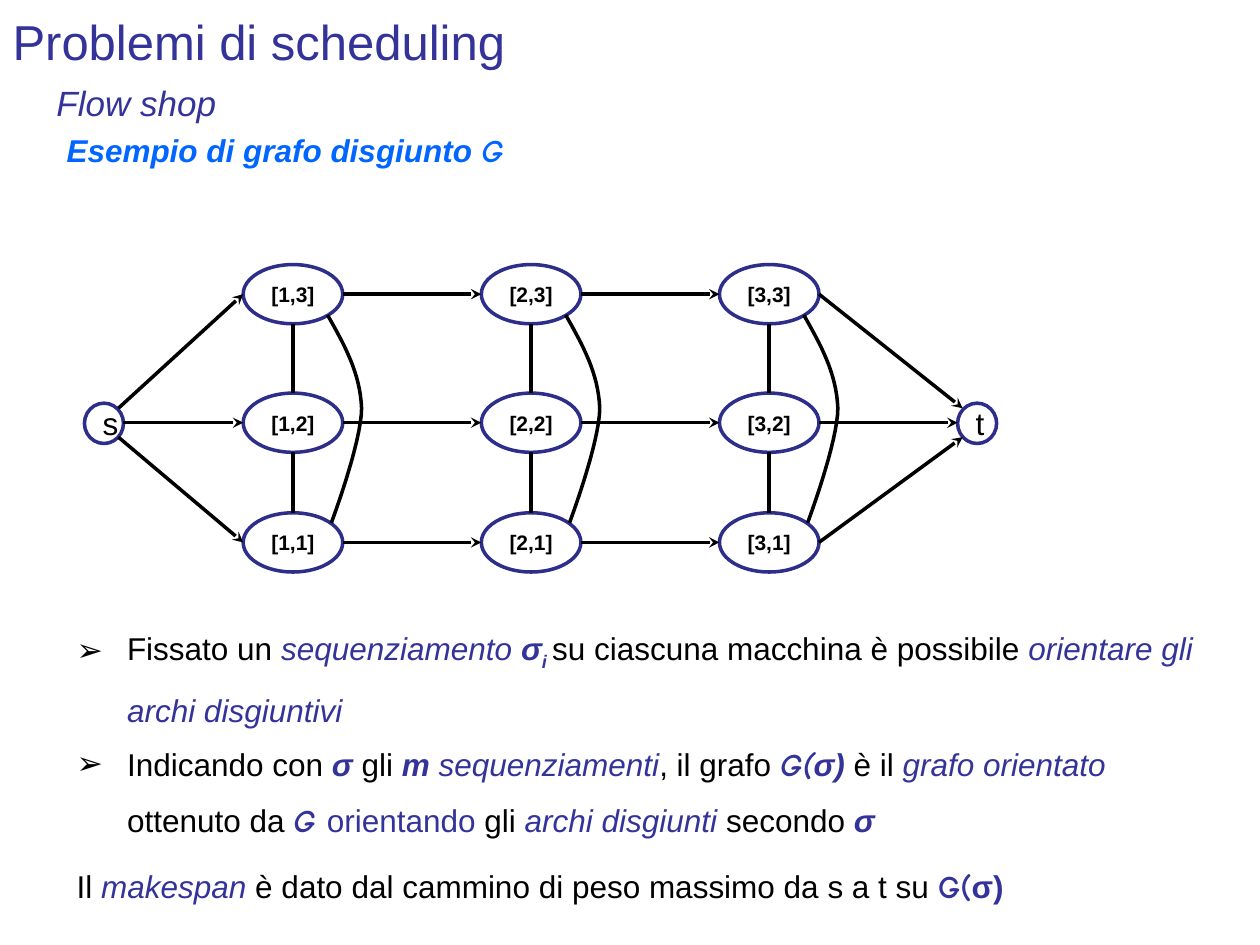
from dataclasses import dataclass
from typing import NamedTuple

from lxml import etree
from pptx import Presentation
from pptx.dml.color import RGBColor
from pptx.enum.shapes import MSO_CONNECTOR, MSO_SHAPE
from pptx.enum.text import MSO_ANCHOR, MSO_AUTO_SIZE, PP_ALIGN
from pptx.oxml.ns import qn
from pptx.util import Inches, Pt

ELLIPSE = MSO_SHAPE.OVAL
STRAIGHT = MSO_CONNECTOR.STRAIGHT
MIDDLE = MSO_ANCHOR.MIDDLE
LEFT, CENTER = PP_ALIGN.LEFT, PP_ALIGN.CENTER


@dataclass(frozen=True)
class Theme:
    font: str = "Arial"
    script_font: str = "Comic Neue"
    black: RGBColor = RGBColor(0, 0, 0)
    white: RGBColor = RGBColor(255, 255, 255)
    accent: RGBColor = RGBColor(0x33, 0x33, 0x99)
    heading: RGBColor = RGBColor(0x00, 0x66, 0xFF)
    outline: RGBColor = RGBColor(0x2D, 0x2D, 0x8A)
    title_size: int = 28
    subtitle_size: int = 20
    body_size: int = 18
    node_size: int = 12
    line_width: int = 2


THEME = Theme()


class Run(NamedTuple):
    text: str
    color: RGBColor = THEME.black
    size: int = THEME.body_size
    bold: bool = False
    italic: bool = False
    font: str = THEME.font
    subscript: bool = False


class Box(NamedTuple):
    left: float
    top: float
    width: float
    height: float


class Point(NamedTuple):
    x: float
    y: float


def term(text: str, bold: bool = False, **style) -> Run:
    return Run(text, THEME.accent, bold=bold, italic=True, **style)


def add_runs(paragraph, runs: list[Run]) -> None:
    for item in runs:
        run = paragraph.add_run()
        run.text = item.text
        font = run.font
        font.name, font.size = item.font, Pt(item.size)
        font.bold, font.italic = item.bold, item.italic
        font.color.rgb = item.color
        if item.subscript:
            run._r.get_or_add_rPr().set("baseline", "-25000")


def add_text(slide, box: Box, runs: list[Run], bullet: str = "", spacing: float = 1.0) -> None:
    shape = slide.shapes.add_textbox(*map(Inches, box))
    shape.text_frame.word_wrap = True
    paragraph = shape.text_frame.paragraphs[0]
    if bullet:
        properties = paragraph._p.get_or_add_pPr()
        properties.set("marL", str(Inches(0.4)))
        properties.set("indent", str(Inches(-0.4)))
        etree.SubElement(properties, qn("a:buFont")).set("typeface", THEME.font)
        etree.SubElement(properties, qn("a:buChar")).set("char", bullet)
    paragraph.line_spacing = spacing
    add_runs(paragraph, runs)


def add_node(shapes, box: Box, label: Run) -> None:
    shape = shapes.add_shape(ELLIPSE, *map(Inches, box))
    shape.shadow.inherit = False
    shape.fill.solid()
    shape.fill.fore_color.rgb = THEME.white
    shape.line.color.rgb = THEME.outline
    shape.line.width = Pt(THEME.line_width)
    frame = shape.text_frame
    frame.word_wrap, frame.vertical_anchor = True, MIDDLE
    frame.paragraphs[0].alignment = CENTER
    add_runs(frame.paragraphs[0], [label])


def add_edge(shapes, start: Point, end: Point, arrow: bool = True) -> None:
    connector = shapes.add_connector(STRAIGHT, *map(Inches, start + end))
    connector.line.color.rgb = THEME.black
    connector.line.width = Pt(THEME.line_width)
    if arrow:
        line = connector.line._get_or_add_ln()
        etree.SubElement(line, qn("a:tailEnd")).set("type", "stealth")
    etree.SubElement(connector._element.spPr, qn("a:effectLst"))


def bezier(points: list[Point], steps: int = 16) -> list[Point]:
    """Sample a cubic curve, leaving out its first point."""
    samples = []
    for step in range(1, steps + 1):
        t = step / steps
        weights = ((1 - t) ** 3, 3 * t * (1 - t) ** 2, 3 * t**2 * (1 - t), t**3)
        samples.append(Point(sum(w * p.x for w, p in zip(weights, points)),
                             sum(w * p.y for w, p in zip(weights, points))))
    return samples


def add_arc(shapes, left: float) -> None:
    """Curve from the top node of a column to its bottom node."""
    controls = [Point(left + x, y) for x, y in (
        (0.67, 2.5), (0.8, 2.73), (0.93, 2.96), (0.94, 3.24),
        (0.94, 3.51), (0.7, 4.15), (0.7, 4.15))]
    builder = shapes.build_freeform(Inches(controls[0].x), Inches(controls[0].y))
    samples = bezier(controls[:4]) + bezier(controls[3:])
    builder.add_line_segments([(Inches(p.x), Inches(p.y)) for p in samples], close=False)
    shape = builder.convert_to_shape()
    shape.shadow.inherit = False
    shape.fill.background()
    shape.line.color.rgb = THEME.black
    shape.line.width = Pt(THEME.line_width)


def add_graph(slide) -> None:
    shapes = slide.shapes.add_group_shape().shapes
    width, height = 0.79, 0.47
    columns = [1.93 + 1.89 * index for index in range(3)]
    rows = [4.07, 3.12, 2.1]
    centers = [top + height / 2 for top in rows]
    source = Box(0.67, 3.2, 0.31, 0.32)
    sink = source._replace(left=7.6)

    # Nodes
    add_node(shapes, source, Run("s"))
    for job, left in enumerate(columns, 1):
        for machine, top in enumerate(rows, 1):
            label = Run(f"[{job},{machine}]", size=THEME.node_size, bold=True)
            add_node(shapes, Box(left, top, width, height), label)
    add_node(shapes, sink, Run("t"))

    # Directed arcs: source, job to job, sink
    for y, port_y, inset in zip(centers, (3.47, centers[1], 3.24), (0.04, 0, 0.04)):
        add_edge(shapes, Point(source.left + source.width - inset, port_y), Point(columns[0], y))
        for left, following in zip(columns, columns[1:]):
            add_edge(shapes, Point(left + width, y), Point(following, y))
        add_edge(shapes, Point(columns[-1] + width, y), Point(sink.left + inset, port_y))

    # Disjunctive arcs within each column
    for left in columns:
        middle = left + width / 2
        for lower, upper in zip(rows, rows[1:]):
            add_edge(shapes, Point(middle, upper + height), Point(middle, lower), arrow=False)
        add_arc(shapes, left)


def main() -> None:
    presentation = Presentation()
    presentation.slide_width, presentation.slide_height = Inches(10), Inches(7.5)
    slide = presentation.slides.add_slide(presentation.slide_layouts[5])

    # Headings
    title = slide.shapes.title
    title.left, title.top, title.width, title.height = map(Inches, Box(0, -0.03, 9, 0.71))
    title.text_frame.auto_size = MSO_AUTO_SIZE.NONE
    title.text_frame.vertical_anchor = MIDDLE
    title.text_frame.paragraphs[0].alignment = LEFT
    add_runs(title.text_frame.paragraphs[0],
             [Run("Problemi di scheduling", THEME.accent, THEME.title_size)])
    add_text(slide, Box(0.35, 0.6, 9.14, 0.47), [term("Flow shop", size=THEME.subtitle_size)])
    example = Run("Esempio di grafo disgiunto ", THEME.heading, bold=True, italic=True)
    add_text(slide, Box(0.43, 0.99, 9.37, 0.4),
             [example, example._replace(text="G", font=THEME.script_font)])

    add_graph(slide)

    # Explanation
    script = THEME.script_font
    add_text(slide, Box(0.51, 4.77, 9.21, 0.95), [
        Run("Fissato un "), term("sequenziamento "), term("σ", True),
        term("i ", True, subscript=True), Run("su ciascuna macchina è possibile "),
        term("orientare gli archi disgiuntivi")], "➢", 1.5)
    add_text(slide, Box(0.51, 5.71, 9.21, 1.01), [
        Run("Indicando con "), term("σ", True), Run(" gli "), term("m", True),
        term(" sequenziamenti"), Run(", il grafo "), term("G(", True, font=script),
        term("σ) ", True), Run("è il "), term("grafo orientato "), Run("ottenuto da "),
        term("G ", True, font=script), Run("orientando ", THEME.accent), Run("gli "),
        term("archi disgiunti "), Run("secondo "), term("σ", True)], "➢", 1.5)
    add_text(slide, Box(0.51, 6.68, 9.21, 0.52), [
        Run("Il "), term("makespan"), Run(" è dato dal cammino di peso massimo da s a t su "),
        Run("G(", THEME.accent, bold=True, font=script),
        Run("σ)", THEME.accent, bold=True)], spacing=1.5)

    presentation.save("out.pptx")


if __name__ == "__main__":
    main()
